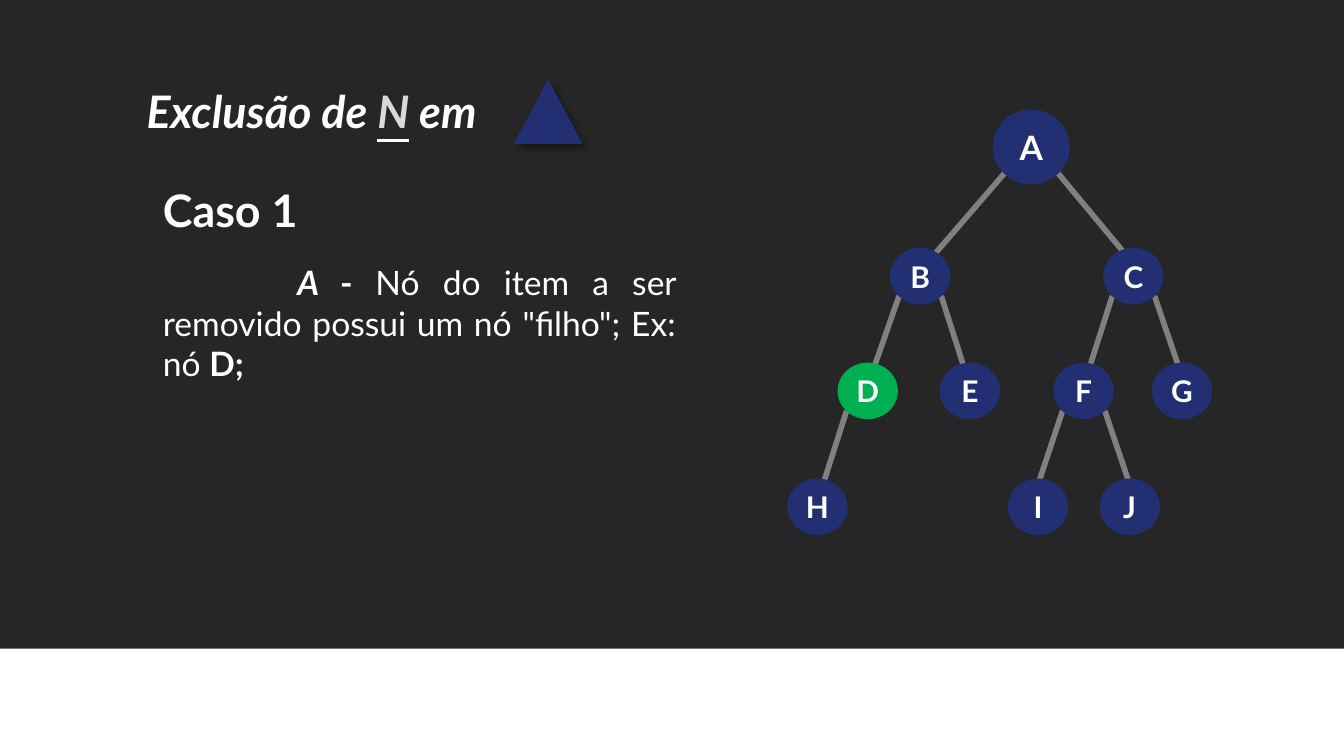
from lxml import etree
from pptx import Presentation
from pptx.dml.color import RGBColor
from pptx.enum.shapes import MSO_CONNECTOR, MSO_SHAPE
from pptx.enum.text import MSO_ANCHOR, PP_ALIGN
from pptx.oxml import parse_xml
from pptx.oxml.ns import nsdecls, qn
from pptx.util import Cm, Pt

RECTANGLE, TRIANGLE, OVAL = MSO_SHAPE.RECTANGLE, MSO_SHAPE.ISOSCELES_TRIANGLE, MSO_SHAPE.OVAL
STRAIGHT, MIDDLE = MSO_CONNECTOR.STRAIGHT, MSO_ANCHOR.MIDDLE
LEFT, CENTER, JUSTIFY = PP_ALIGN.LEFT, PP_ALIGN.CENTER, PP_ALIGN.JUSTIFY

WIDTH, HEIGHT = 25.4, 14.29
DARK, NAVY, GREEN, GRAY, LIGHT, WHITE = "262626", "232F73", "00B050", "808080", "D9D9D9", "FFFFFF"
ROOT_SIZE, NODE_SIZE = (1.45, 1.42), (1.14, 1.07)
DIAGONAL = 0.35
LEVELS = {
    2.78: {"A": 19.49},
    5.22: {"B": 17.39, "C": 21.42},
    7.39: {"D": 16.4, "E": 18.33, "F": 20.48, "G": 22.34},
    9.58: {"H": 15.45, "I": 19.62, "J": 21.35},
}
EDGE_SHIFTS = {"AB": 0, "AC": 0.11, "BD": 0, "BE": 0, "CF": 0,
               "CG": 0.06, "DH": 0, "FI": -0.11, "FJ": 0.11}


def color(value):
    return RGBColor.from_string(value)


class TreeSlide:
    """Draws text, shapes and tree parts in one style on a slide."""

    font = "Lato"

    def __init__(self, slide):
        self.slide = slide
        self.tree = None

    def start_tree(self):
        self.tree = self.slide.shapes.add_group_shape().shapes

    def shape(self, shapes, kind, left, top, width, height, fill):
        shape = shapes.add_shape(kind, Cm(left), Cm(top), Cm(width), Cm(height))
        shape.shadow.inherit = False
        shape.fill.solid()
        shape.fill.fore_color.rgb = color(fill)
        shape.line.fill.background()
        return shape

    def panel(self, height):
        self.shape(self.slide.shapes, RECTANGLE, 0, 0, WIDTH, height, DARK)

    def triangle(self, left, top, width, height):
        shape = self.shape(self.slide.shapes, TRIANGLE, left, top, width, height, NAVY)
        effects = shape._element.spPr.find(qn("a:effectLst"))
        effects.append(parse_xml(
            f'<a:outerShdw {nsdecls("a")} blurRad="{Pt(4)}" dist="{Pt(3)}" dir="2700000" '
            'algn="tl" rotWithShape="0"><a:srgbClr val="000000"><a:alpha val="40000"/>'
            '</a:srgbClr></a:outerShdw>'))

    def style(self, paragraph, size, alignment):
        paragraph.alignment = alignment
        paragraph.font.name = self.font
        paragraph.font.size = Pt(size)
        paragraph.font.color.rgb = color(WHITE)

    def underline(self, run):
        run.font.underline = True
        run.font.color.rgb = color(LIGHT)
        run.font._element.append(parse_xml(
            f'<a:uFill {nsdecls("a")}><a:solidFill><a:srgbClr val="{WHITE}"/>'
            '</a:solidFill></a:uFill>'))

    def text(self, left, top, width, height, size, runs, alignment=LEFT, indent=0):
        box = self.slide.shapes.add_textbox(Cm(left), Cm(top), Cm(width), Cm(height))
        frame = box.text_frame
        frame.word_wrap = True
        frame.vertical_anchor = MIDDLE
        frame.margin_left = frame.margin_right = Cm(0.25)
        frame.margin_top = frame.margin_bottom = Cm(0.25)
        paragraph = frame.paragraphs[0]
        self.style(paragraph, size, alignment)
        properties = paragraph._element.get_or_add_pPr()
        properties.set("marL", "0")
        properties.set("indent", str(Cm(indent)))
        for words, marks in runs:
            run = paragraph.add_run()
            run.text = words
            run.font.bold = "b" in marks
            run.font.italic = "i" in marks
            if "u" in marks:
                self.underline(run)

    def node(self, label, center, size, fill):
        (x, y), (width, height) = center, size
        shape = self.shape(self.tree, OVAL, x - width / 2, y - height / 2, width, height, fill)
        frame = shape.text_frame
        frame.word_wrap = False
        frame.vertical_anchor = MIDDLE
        frame.margin_left = frame.margin_right = frame.margin_top = frame.margin_bottom = 0
        paragraph = frame.paragraphs[0]
        paragraph.text = label
        self.style(paragraph, 18 if size == ROOT_SIZE else 16, CENTER)
        paragraph.font.bold = True

    def edge(self, parent, child, size, shift):
        side = 1 if child[0] > parent[0] else -1
        start = parent[0] + side * DIAGONAL * size[0], parent[1] + DIAGONAL * size[1]
        end = child[0] + shift, child[1] - 0.1
        line = self.tree.add_connector(STRAIGHT, *(Cm(value) for value in start + end))
        line.line.color.rgb = color(GRAY)
        line.line.width = Pt(3)
        etree.SubElement(line._element.spPr, qn("a:effectLst"))


def main():
    presentation = Presentation()
    presentation.slide_width, presentation.slide_height = Cm(WIDTH), Cm(HEIGHT)
    page = TreeSlide(presentation.slides.add_slide(presentation.slide_layouts[6]))

    page.panel(12.26)
    page.text(2.83, 4.83, 10.2, 2.54, 18, [
        ("\tA ", "bi"), ("- ", "b"),
        ('Nó do item a ser removido possui um nó "filho"; Ex: nó ', ""), ("D;", "b"),
    ], JUSTIFY, indent=1.27)
    page.text(2.83, 3.07, 8.43, 1.8, 24, [("Caso 1", "b")])
    page.text(2.52, 1.2, 7.65, 1.8, 24, [("Exclusão de ", "bi"), ("N", "biu"), (" em", "bi")])
    page.triangle(9.71, 1.5, 1.3, 1.22)

    centers = {label: (x, y) for y, row in LEVELS.items() for label, x in row.items()}
    sizes = {label: ROOT_SIZE if label == "A" else NODE_SIZE for label in centers}
    page.start_tree()
    for (parent, child), shift in EDGE_SHIFTS.items():
        page.edge(centers[parent], centers[child], sizes[parent], shift)
    for label, center in centers.items():
        page.node(label, center, sizes[label], GREEN if label == "D" else NAVY)

    presentation.save("out.pptx")


if __name__ == "__main__":
    main()
